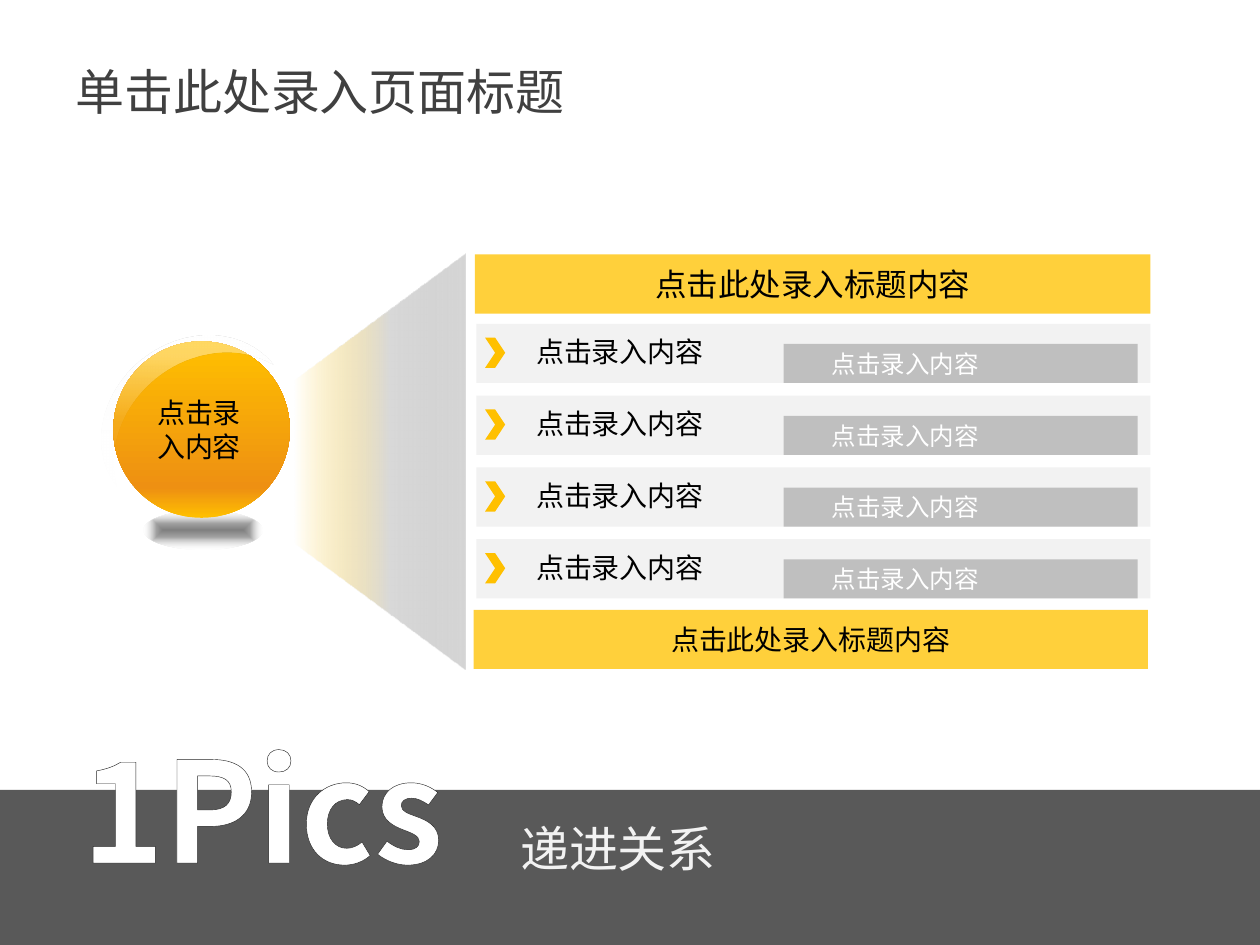
from lxml.etree import SubElement as Sub
from pptx import Presentation
from pptx.dml.color import RGBColor as RGB
from pptx.enum.shapes import MSO_SHAPE as Kind
from pptx.enum.text import MSO_ANCHOR as Anchor, MSO_AUTO_SIZE as Auto, PP_ALIGN as Align
from pptx.oxml import parse_xml
from pptx.oxml.ns import nsdecls, qn
from pptx.util import Inches, Pt

FONT = "Noto Sans CJK SC"
HEX = {"white": "FFFFFF", "black": "000000", "title": "404040", "edge": "262626",
       "band": "595959", "pale": "F2F2F2", "mist": "F5F5F5", "light": "D9D9D9",
       "grey": "BFBFBF", "shade": "808080", "gold": "FFC000", "amber": "EE9012",
       "yellow": "FFD03B"}


def draw(shapes, kind, box, fill, turn=0, adj=None, angle=None):
    """Add a preset shape; fill is a colour name or (position, name, alpha) stops.

    Stops run along angle, or out from the centre when there is no angle.
    """
    shape = shapes.add_shape(kind, *map(Inches, box))
    shape.shadow.inherit = False
    shape.line.fill.background()
    shape.rotation = turn
    if adj is not None:
        shape.adjustments[0] = adj
    if isinstance(fill, str):
        shape.fill.solid()
        shape.fill.fore_color.rgb = RGB.from_string(HEX[fill])
        return shape
    grad = parse_xml(f'<a:gradFill {nsdecls("a")} rotWithShape="1"/>')
    stops = Sub(grad, qn("a:gsLst"))
    for pos, name, alpha in fill:
        stop = Sub(stops, qn("a:gs"), pos=str(pos * 1000))
        color = Sub(stop, qn("a:srgbClr"), val=HEX[name])
        if alpha < 100:
            Sub(color, qn("a:alpha"), val=str(alpha * 1000))
    if angle is None:
        way = Sub(grad, qn("a:path"), path="shape")
        Sub(way, qn("a:fillToRect"), l="50000", t="50000", r="50000", b="50000")
    else:
        Sub(grad, qn("a:lin"), ang=str(angle * 60000), scaled="0")
    shape.fill.background()
    old = shape.element.spPr.find(qn("a:noFill"))
    old.getparent().replace(old, grad)
    return shape


def write(shape, lines, size, color, align=Align.CENTER, anchor=Anchor.TOP,
          wrap=True, grow=True):
    """Fill a shape with one paragraph per line and return the last run."""
    frame = shape.text_frame
    frame.word_wrap = wrap
    frame.vertical_anchor = anchor
    frame.auto_size = Auto.SHAPE_TO_FIT_TEXT if grow else Auto.NONE
    for i, line in enumerate(lines):
        para = frame.add_paragraph() if i else frame.paragraphs[0]
        para.alignment = align
        run = para.add_run()
        run.text = line
        run.font.size = Pt(size)
        run.font.color.rgb = RGB.from_string(HEX[color])
        run.font.name = FONT
        Sub(run.font._element, qn("a:ea"), typeface=FONT)
    return run


deck = Presentation()
deck.slide_width, deck.slide_height = Inches(10), Inches(7.5)
slide = deck.slides.add_slide(deck.slide_layouts[6])
shapes = slide.shapes

# Beam, page title and ball
draw(shapes, Kind.TRAPEZOID, (1, 2.62, 3.3, 2.09),
     [(0, "grey", 64), (29, "light", 100), (65, "yellow", 0)], 270, 0.738, 270)
title = shapes.add_textbox(*map(Inches, (0.5, 0.3, 9, 0.85)))
write(title, ["单击此处录入页面标题"], 28, "title", Align.LEFT, Anchor.MIDDLE, grow=False)
draw(shapes, Kind.OVAL, (1.14, 4.05, 0.94, 0.31),
     [(0, "shade", 100), (35, "shade", 72), (100, "pale", 0)])
draw(shapes, Kind.OVAL, (0.9, 2.71, 1.4, 1.4),
     [(0, "gold", 100), (17, "amber", 100), (100, "gold", 100)], angle=270)

# Four rows at an equal pitch
for i in range(4):
    top = 2.57 + 0.57 * i
    row = slide.shapes.add_group_shape().shapes
    draw(row, Kind.RECTANGLE, (3.78, top, 5.35, 0.47), "pale")
    draw(row, Kind.RECTANGLE, (6.22, top + 0.16, 2.81, 0.31), "grey")
    for box, size, color in [((4.01, top + 0.04, 1.82, 0.37), 16, "black"),
                             ((6.45, top + 0.15, 1.47, 0.34), 14, "white")]:
        write(row.add_textbox(*map(Inches, box)), ["点击录入内容"], size, color)
    draw(row, Kind.CHEVRON, (3.85, top + 0.11, 0.16, 0.24), "gold")

# Bars above and below the rows
for box, size in [((3.77, 2.02, 5.36, 0.47), 18), ((3.76, 4.84, 5.35, 0.47), 16)]:
    bar = draw(shapes, Kind.RECTANGLE, box, "yellow")
    write(bar, ["点击此处录入标题内容"], size, "black", anchor=Anchor.MIDDLE, grow=False)

# Ball label and gloss
label = shapes.add_textbox(*map(Inches, (1.14, 3.09, 0.88, 0.64)))
write(label, ["点击录", "入内容"], 16, "black", wrap=False)
draw(shapes, Kind.MOON, (1, 2.33, 0.68, 1.57),
     [(0, "white", 0), (35, "mist", 7), (69, "white", 38)], 51.8, 0.275, 220)

# Footer band
draw(shapes, Kind.RECTANGLE, (0, 6.27, 10, 1.23), "band")
topic = shapes.add_textbox(*map(Inches, (4.03, 6.45, 1.77, 0.57)))
write(topic, ["递进关系"], 28, "pale", Align.LEFT, wrap=False)
count = shapes.add_textbox(*map(Inches, (0.55, 5.69, 3.86, 1.45)))
run = write(count, ["1Pics"], 80, "white", Align.LEFT)
run.font.bold = True
edge = parse_xml(f'<a:ln {nsdecls("a")} w="{Pt(1.5)}"><a:solidFill>'
                 f'<a:srgbClr val="{HEX["edge"]}"/></a:solidFill></a:ln>')
run.font._element.insert(0, edge)

deck.save("out.pptx")
